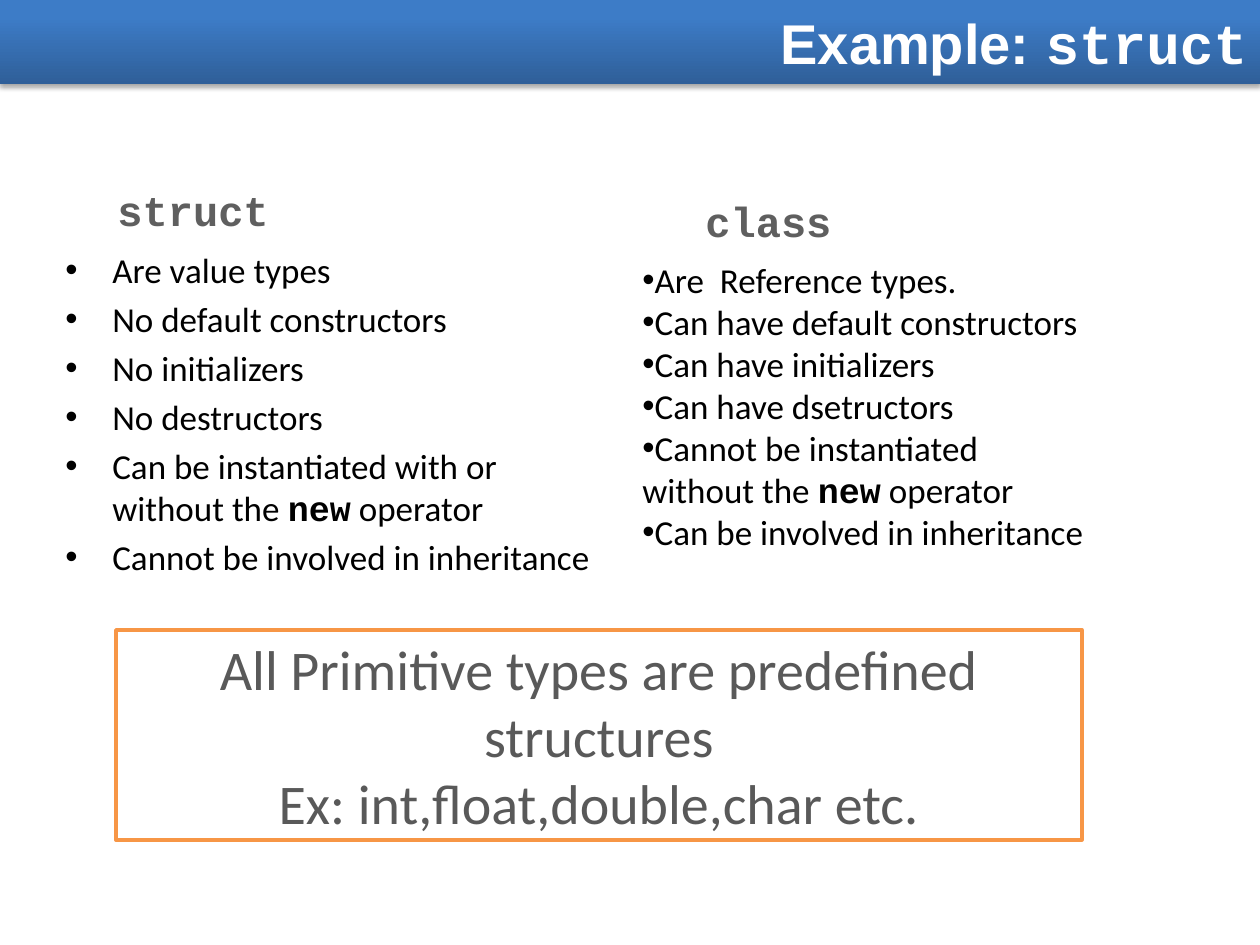
from lxml.etree import SubElement
from pptx import Presentation
from pptx.dml.color import RGBColor
from pptx.enum.shapes import MSO_SHAPE
from pptx.enum.text import MSO_ANCHOR, MSO_AUTO_SIZE, PP_ALIGN
from pptx.oxml import parse_xml
from pptx.oxml.ns import nsdecls, qn
from pptx.util import Emu, Pt

# Content: a line is a list of (text, style) runs
TITLE = [[("Example: ", "title"), ("struct", "type")]]
NOTE = [
    [("All Primitive types are predefined structures", "note")],
    [("Ex: int,float,double,char etc.", "note")],
]
VALUE = [
    [("Are value types", "item")],
    [("No default constructors", "item")],
    [("No initializers", "item")],
    [("No destructors", "item")],
    [("Can be instantiated with or without the ", "item"), ("new", "code"), (" operator", "item")],
    [("Cannot be involved in inheritance", "item")],
]
REFER = [
    [("Are  Reference types.", "item")],
    [("Can have default constructors", "item")],
    [("Can have initializers", "item")],
    [("Can have dsetructors", "item")],
    [("Cannot be instantiated without the ", "item"), ("new", "code"), (" operator", "item")],
    [("Can be involved in inheritance", "item")],
]

# Looks
HEX = {"white": "FFFFFF", "black": "000000", "head": "5F5F5F", "note": "595959",
       "edge": "F79646", "deep": "2F5F99", "light": "3D7CC7"}
FONTS = {
    "title": ("Arial", 32, True, "white"),
    "type": ("Courier New", 32, True, "white"),
    "head": ("Courier New", 24, True, "head"),
    "item": ("Calibri", 20, False, "black"),
    "code": ("Courier New", 20, True, "black"),
    "note": ("Calibri", 32, False, "note"),
}
HEAD = {"line_spacing": 1.4, "space_before": Pt(5)}
SPACED = {"space_before": Pt(4)}

# Columns: head text, head box, lines, list box, hanging indent, format
COLS = [
    ("struct", (105, 199, 346, 42), VALUE, (53, 242, 567, 577), 47, SPACED),
    ("class", (693, 199, 283, 53), REFER, (630, 252, 472, 310), 0, {}),
]
BAR = (0, 0, 1260, 84)
PANEL = (116, 630, 966, 210)


def px(n):
    return Emu(round(n * 914400 / 126))


def tint(name):
    return RGBColor.from_string(HEX[name])


def apply(obj, looks):
    for key, val in looks.items():
        setattr(obj, key, val)


def write(shape, lines, anchor, looks, hang=None):
    frame = shape.text_frame
    apply(frame, {"word_wrap": True, "auto_size": MSO_AUTO_SIZE.NONE,
                  "vertical_anchor": anchor})
    for i, line in enumerate(lines):
        para = frame.add_paragraph() if i else frame.paragraphs[0]
        apply(para, looks)
        for text, style in line:
            name, size, bold, hue = FONTS[style]
            run = para.add_run()
            run.text = text
            apply(run.font, {"name": name, "size": Pt(size), "bold": bold})
            run.font.color.rgb = tint(hue)
        if hang is not None:
            props = para._p.get_or_add_pPr()
            props.set("marL", str(px(hang)))
            props.set("indent", str(-px(hang)))
            SubElement(props, qn("a:buFont")).set("typeface", "Arial")
            SubElement(props, qn("a:buChar")).set("char", "•")


deck = Presentation()
apply(deck, {"slide_width": px(1260), "slide_height": px(945)})
slide = deck.slides.add_slide(deck.slide_layouts[5])


def box(at):
    return slide.shapes.add_textbox(*map(px, at))


# Title bar with gradient and soft shadow
bar = slide.shapes.title
apply(bar, dict(zip(("left", "top", "width", "height"), map(px, BAR))))
bar.fill.gradient()
bar.fill.gradient_angle = 90
for stop, (spot, hue) in zip(bar.fill.gradient_stops, [(0, "deep"), (0.8, "light")]):
    stop.position = spot
    stop.color.rgb = tint(hue)
bar._element.spPr.append(parse_xml(
    f'<a:effectLst {nsdecls("a")}><a:outerShdw blurRad="{Pt(3.1)}" dist="{Pt(1.8)}" '
    f'dir="5400000" rotWithShape="0"><a:srgbClr val="{HEX["black"]}">'
    '<a:alpha val="35000"/></a:srgbClr></a:outerShdw></a:effectLst>'))
write(bar, TITLE, MSO_ANCHOR.MIDDLE, {"alignment": PP_ALIGN.RIGHT})

# Two columns
for head, spot, lines, at, hang, looks in COLS:
    write(box(at), lines, MSO_ANCHOR.TOP, looks, hang)
    write(box(spot), [[(head, "head")]], MSO_ANCHOR.BOTTOM, HEAD)

# Framed note
panel = slide.shapes.add_shape(MSO_SHAPE.RECTANGLE, *map(px, PANEL))
panel.shadow.inherit = False
panel.fill.solid()
panel.fill.fore_color.rgb = tint("white")
panel.line.color.rgb = tint("edge")
panel.line.width = Pt(2)
write(panel, NOTE, MSO_ANCHOR.MIDDLE, {"alignment": PP_ALIGN.CENTER})

deck.save("out.pptx")
